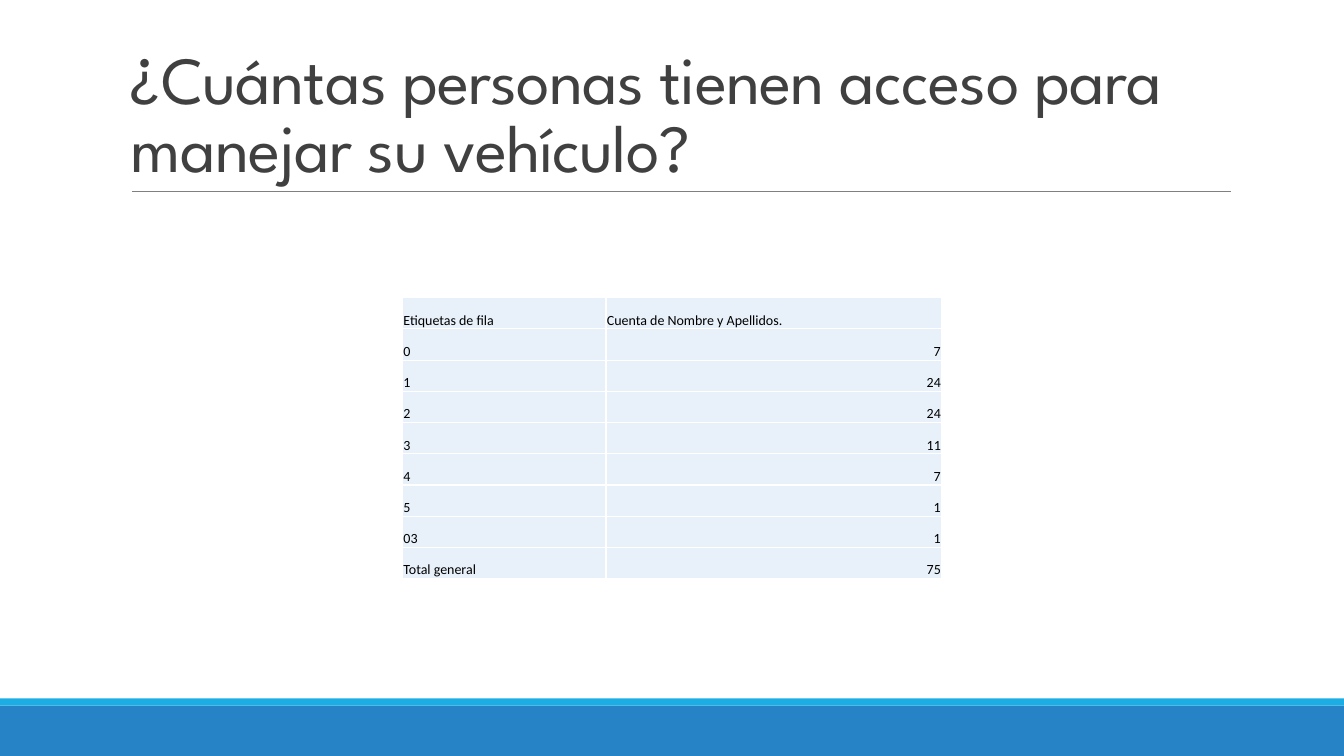
from dataclasses import dataclass

from lxml.etree import SubElement
from pptx import Presentation
from pptx.dml.color import RGBColor
from pptx.enum.shapes import MSO_CONNECTOR, MSO_SHAPE
from pptx.enum.text import MSO_ANCHOR, PP_ALIGN
from pptx.oxml.ns import qn
from pptx.slide import Slide
from pptx.table import _Cell
from pptx.text.text import TextFrame
from pptx.util import Pt


@dataclass(frozen=True)
class Theme:
    footer_blue: str = "2683C6"
    accent_cyan: str = "1CADE4"
    rule_gray: str = "808080"
    title_gray: str = "404040"
    cell_blue: str = "E8F1FA"
    border_white: str = "FFFFFF"
    table_black: str = "000000"
    title_font: str = "League Spartan"
    table_font: str = "Calibri"
    title_size: float = 48
    table_size: float = 10


@dataclass(frozen=True)
class Band:
    top: float
    height: float
    color: str


@dataclass(frozen=True)
class AccessCount:
    label: str
    count: str


THEME = Theme()
SLIDE_WIDTH, SLIDE_HEIGHT = 960, 540
COLUMN_WIDTHS = (145.4, 239.8)
ROW_HEIGHT = 22.32

FOOTER_BANDS = (
    Band(504, 36, THEME.footer_blue),
    Band(498.8, 5.2, THEME.accent_cyan),
)
HEADER = AccessCount("Etiquetas de fila", "Cuenta de Nombre y Apellidos.")
ACCESS_COUNTS = (
    AccessCount("0", "7"),
    AccessCount("1", "24"),
    AccessCount("2", "24"),
    AccessCount("3", "11"),
    AccessCount("4", "7"),
    AccessCount("5", "1"),
    AccessCount("03", "1"),
    AccessCount("Total general", "75"),
)


def write_text(frame: TextFrame, text: str, *, font: str, size: float, color: str,
               align: PP_ALIGN = PP_ALIGN.LEFT, line_spacing: float = 1.0,
               tracking: float = 0) -> None:
    paragraph = frame.paragraphs[0]
    paragraph.alignment = align
    paragraph.line_spacing = line_spacing
    run = paragraph.add_run()
    run.text = text
    run.font.name = font
    run.font.size = Pt(size)
    run.font.bold = False
    run.font.color.rgb = RGBColor.from_string(color)
    if tracking:
        run._r.get_or_add_rPr().set("spc", str(round(tracking * 100)))


def add_band(slide: Slide, band: Band) -> None:
    stripe = slide.shapes.add_shape(
        MSO_SHAPE.RECTANGLE, Pt(0), Pt(band.top), Pt(SLIDE_WIDTH), Pt(band.height))
    stripe.shadow.inherit = False
    stripe.fill.solid()
    stripe.fill.fore_color.rgb = RGBColor.from_string(band.color)
    stripe.line.fill.background()


def add_title_rule(slide: Slide) -> None:
    rule = slide.shapes.add_connector(
        MSO_CONNECTOR.STRAIGHT, Pt(94.3), Pt(136.8), Pt(879.1), Pt(136.8))
    rule.line.color.rgb = RGBColor.from_string(THEME.rule_gray)
    rule.line.width = Pt(0.5)
    SubElement(rule._element.spPr, qn("a:effectLst"))


def add_question(slide: Slide) -> None:
    frame = slide.shapes.add_textbox(Pt(86.4), Pt(22.3), Pt(792), Pt(114.5)).text_frame
    frame.word_wrap = True
    frame.vertical_anchor = MSO_ANCHOR.BOTTOM
    write_text(frame, "¿Cuántas personas tienen acceso para manejar su vehículo?",
               font=THEME.title_font, size=THEME.title_size, color=THEME.title_gray,
               line_spacing=0.85, tracking=-0.5)


def style_cell(cell: _Cell) -> None:
    cell.margin_left = cell.margin_right = cell.margin_top = Pt(0.7)
    cell.margin_bottom = Pt(0)
    cell.vertical_anchor = MSO_ANCHOR.BOTTOM
    properties = cell._tc.get_or_add_tcPr()
    for side in ("lnL", "lnR", "lnT", "lnB"):
        border = SubElement(properties, qn(f"a:{side}"), w=str(Pt(1)))
        border_fill = SubElement(border, qn("a:solidFill"))
        SubElement(border_fill, qn("a:srgbClr"), val=THEME.border_white)
    cell.fill.solid()
    cell.fill.fore_color.rgb = RGBColor.from_string(THEME.cell_blue)


def add_access_table(slide: Slide) -> None:
    entries = (HEADER, *ACCESS_COUNTS)
    table = slide.shapes.add_table(
        len(entries), len(COLUMN_WIDTHS), Pt(287.5), Pt(212.6),
        Pt(sum(COLUMN_WIDTHS)), Pt(ROW_HEIGHT * len(entries))).table
    table.first_row = False
    table.horz_banding = False
    for column, width in zip(table.columns, COLUMN_WIDTHS):
        column.width = Pt(width)
    for row, entry in zip(table.rows, entries):
        row.height = Pt(ROW_HEIGHT)
        count_align = PP_ALIGN.LEFT if entry is HEADER else PP_ALIGN.RIGHT
        values = ((entry.label, PP_ALIGN.LEFT), (entry.count, count_align))
        for cell, (text, align) in zip(row.cells, values):
            style_cell(cell)
            write_text(cell.text_frame, text, font=THEME.table_font,
                       size=THEME.table_size, color=THEME.table_black, align=align)


def main() -> None:
    presentation = Presentation()
    presentation.slide_width = Pt(SLIDE_WIDTH)
    presentation.slide_height = Pt(SLIDE_HEIGHT)
    slide = presentation.slides.add_slide(presentation.slide_layouts[6])
    for band in FOOTER_BANDS:
        add_band(slide, band)
    add_title_rule(slide)
    add_question(slide)
    add_access_table(slide)
    presentation.save("out.pptx")


if __name__ == "__main__":
    main()
